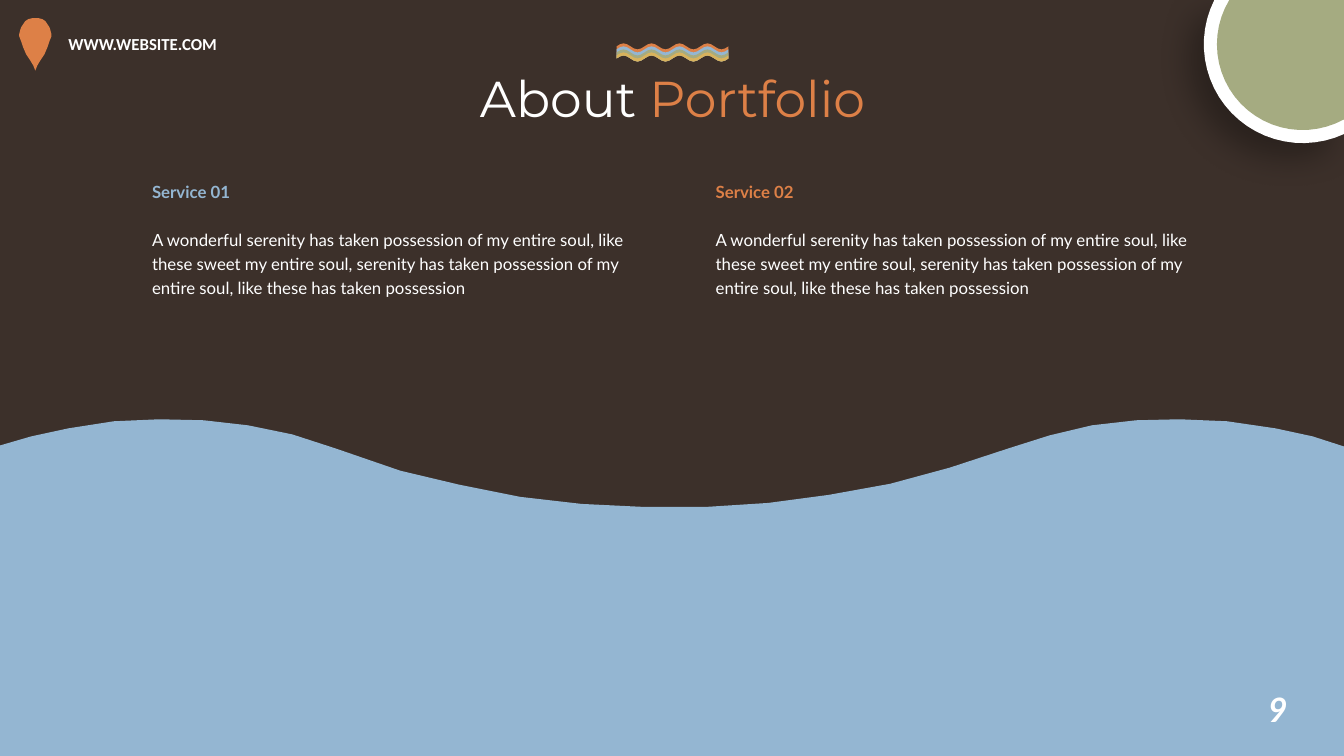
from dataclasses import dataclass
from math import acos, asin, cos, pi, sin

from lxml import etree
from pptx import Presentation
from pptx.dml.color import RGBColor
from pptx.enum.text import MSO_AUTO_SIZE, PP_ALIGN
from pptx.oxml.ns import qn
from pptx.util import Inches, Pt

CENTER = PP_ALIGN.CENTER
LEFT = PP_ALIGN.LEFT
GROW = MSO_AUTO_SIZE.SHAPE_TO_FIT_TEXT
SLIDE_W, SLIDE_H = 13.33, 7.5


@dataclass(frozen=True)
class Theme:
    brown: str = "3C302A"
    blue: str = "94B6D2"
    orange: str = "DD8047"
    green: str = "A5AB81"
    gold: str = "D8B25C"
    white: str = "FFFFFF"
    black: str = "000000"
    title_font: str = "Montserrat"
    body_font: str = "Lato"
    site_font: str = "Calibri"
    title_size: int = 36
    number_size: int = 24
    body_size: int = 12


THEME = Theme()

HILLS = [
    (0, 4.42), (0.31, 4.33), (0.68, 4.25), (1.13, 4.18), (1.58, 4.16),
    (2.02, 4.17), (2.46, 4.22), (2.9, 4.31), (3.33, 4.45),
    (3.97, 4.67), (4.56, 4.81), (5.16, 4.93), (5.77, 5), (6.39, 5.03),
    (7, 5.03), (7.62, 4.99), (8.22, 4.91), (8.83, 4.8), (9.42, 4.64),
    (10, 4.45), (10.41, 4.32), (10.83, 4.22), (11.27, 4.17), (11.7, 4.16),
    (12.17, 4.18), (12.65, 4.25), (13.02, 4.33), (13.33, 4.43),
]
PIN_SIDE = [
    (0, 0), (0.03, 0), (0.07, 0.01), (0.1, 0.03), (0.12, 0.06),
    (0.14, 0.09), (0.15, 0.12), (0.16, 0.16), (0.16, 0.18), (0.14, 0.23),
    (0.12, 0.29), (0.09, 0.36), (0.05, 0.42), (0.02, 0.47), (0, 0.52),
]
SERVICE_TEXT = (
    "A wonderful serenity has taken possession of my entire soul, like these sweet "
    "my entire soul, serenity has taken possession of my entire soul, like these "
    "has taken possession"
)


def add_outline(shapes, points, color):
    emu = [(Inches(x), Inches(y)) for x, y in points]
    builder = shapes.build_freeform(*emu[0], scale=1.0)
    builder.add_line_segments(emu[1:], close=True)
    sp = builder.convert_to_shape()
    sp.shadow.inherit = False
    sp.fill.solid()
    sp.fill.fore_color.rgb = RGBColor.from_string(color)
    sp.line.fill.background()
    return sp


def add_text_frame(slide, left, top, width, height, wrap=True):
    box = slide.shapes.add_textbox(Inches(left), Inches(top), Inches(width), Inches(height))
    tf = box.text_frame
    tf.word_wrap = wrap
    tf.auto_size = GROW
    return tf


def add_run(p, text, font, size, color, bold=False, italic=False):
    r = p.add_run()
    r.text = text
    r.font.name = font
    r.font.size = Pt(size)
    r.font.bold = bold
    r.font.italic = italic
    r.font.color.rgb = RGBColor.from_string(color)


def add_drop_shadow(sp):
    effects = sp._element.spPr.find(qn("a:effectLst"))
    shadow = etree.SubElement(effects, qn("a:outerShdw"), blurRad=str(Pt(23)),
                              dist=str(Pt(15)), dir=str(135 * 60000), rotWithShape="0")
    color = etree.SubElement(shadow, qn("a:srgbClr"), val=THEME.black)
    etree.SubElement(color, qn("a:alpha"), val="29000")


def add_hills(slide, left, top, width, height):
    first_y = min(y for _, y in HILLS)
    ridge = [(left + x, top + y - first_y) for x, y in HILLS]
    floor = [(left + width, top + height), (left, top + height)]
    add_outline(slide.shapes, ridge + floor, THEME.blue)


def add_website(slide, left, top):
    center = left + 0.16
    right_side = [(center + x, top + y) for x, y in PIN_SIDE]
    left_side = [(center - x, top + y) for x, y in reversed(PIN_SIDE[1:-1])]
    add_outline(slide.shapes, right_side + left_side, THEME.orange)
    tf = add_text_frame(slide, left + 0.39, top + 0.11, 2.53, 0.3)
    add_run(tf.paragraphs[0], "WWW.WEBSITE.COM", THEME.site_font, THEME.body_size,
            THEME.white, bold=True)


def add_corner_badge(slide, center_x, center_y, radius, rim):
    shapes = slide.shapes.add_group_shape().shapes
    steps = 24
    for r, color in ((radius, THEME.white), (radius - rim, THEME.green)):
        start = acos((SLIDE_W - center_x) / r)
        sweep = pi + asin(center_y / r) - start
        angles = [start + sweep * i / steps for i in range(steps + 1)]
        arc = [(center_x + r * cos(a), center_y + r * sin(a)) for a in angles]
        sp = add_outline(shapes, arc + [(SLIDE_W, 0)], color)
        if color == THEME.white:
            add_drop_shadow(sp)


def add_wave_ornament(slide, left, top, width):
    shapes = slide.shapes.add_group_shape().shapes
    steps = 32
    period = width / 4

    def wave(middle):
        xs = [width * i / steps for i in range(steps + 1)]
        return [(left + x, middle - 0.03 * sin(2 * pi * x / period)) for x in xs]

    bottom = wave(top + 0.15)[::-1]
    for i, color in enumerate((THEME.orange, THEME.blue, THEME.green, THEME.gold)):
        add_outline(shapes, wave(top + 0.03 + 0.03 * i) + bottom, color)


def add_title(slide, left, top, width, height):
    add_wave_ornament(slide, left + (width - 1.11) / 2, top - 0.19, 1.11)
    tf = add_text_frame(slide, left, top, width, height, wrap=False)
    p = tf.paragraphs[0]
    p.alignment = CENTER
    for text, color in (("About ", THEME.white), ("Portfolio", THEME.orange)):
        add_run(p, text, THEME.title_font, THEME.title_size, color)


def add_service(slide, left, top, width, height, heading, color):
    tf = add_text_frame(slide, left, top, width, height)
    p = tf.paragraphs[0]
    add_run(p, heading, THEME.body_font, THEME.body_size, color, bold=True)
    body = tf.add_paragraph()
    body.space_before = Pt(17.2)
    add_run(body, SERVICE_TEXT, THEME.body_font, THEME.body_size, THEME.white)
    for p in tf.paragraphs:
        p.alignment = LEFT
        p.line_spacing = 1.2


def add_page_number(slide, left, top, width, height):
    tf = add_text_frame(slide, left, top, width, height, wrap=False)
    add_run(tf.paragraphs[0], "9", THEME.body_font, THEME.number_size, THEME.white,
            bold=True, italic=True)


def build_portfolio_slide(prs):
    slide = prs.slides.add_slide(prs.slide_layouts[6])
    fill = slide.background.fill
    fill.solid()
    fill.fore_color.rgb = RGBColor.from_string(THEME.brown)
    add_hills(slide, 0, 4.16, SLIDE_W, 3.34)
    add_page_number(slide, 12.48, 6.79, 0.4, 0.5)
    add_website(slide, 0.19, 0.18)
    add_corner_badge(slide, 12.92, 0.44, 0.98, 0.13)
    add_title(slide, 4.49, 0.62, 4.36, 0.71)
    services = (("Service 01", THEME.blue), ("Service 02", THEME.orange))
    for i, (heading, color) in enumerate(services):
        add_service(slide, 1.41 + 5.59 * i, 1.71, 5.28, 1.29, heading, color)


def main():
    prs = Presentation()
    prs.slide_width = Inches(SLIDE_W)
    prs.slide_height = Inches(SLIDE_H)
    build_portfolio_slide(prs)
    prs.save("out.pptx")


if __name__ == "__main__":
    main()
